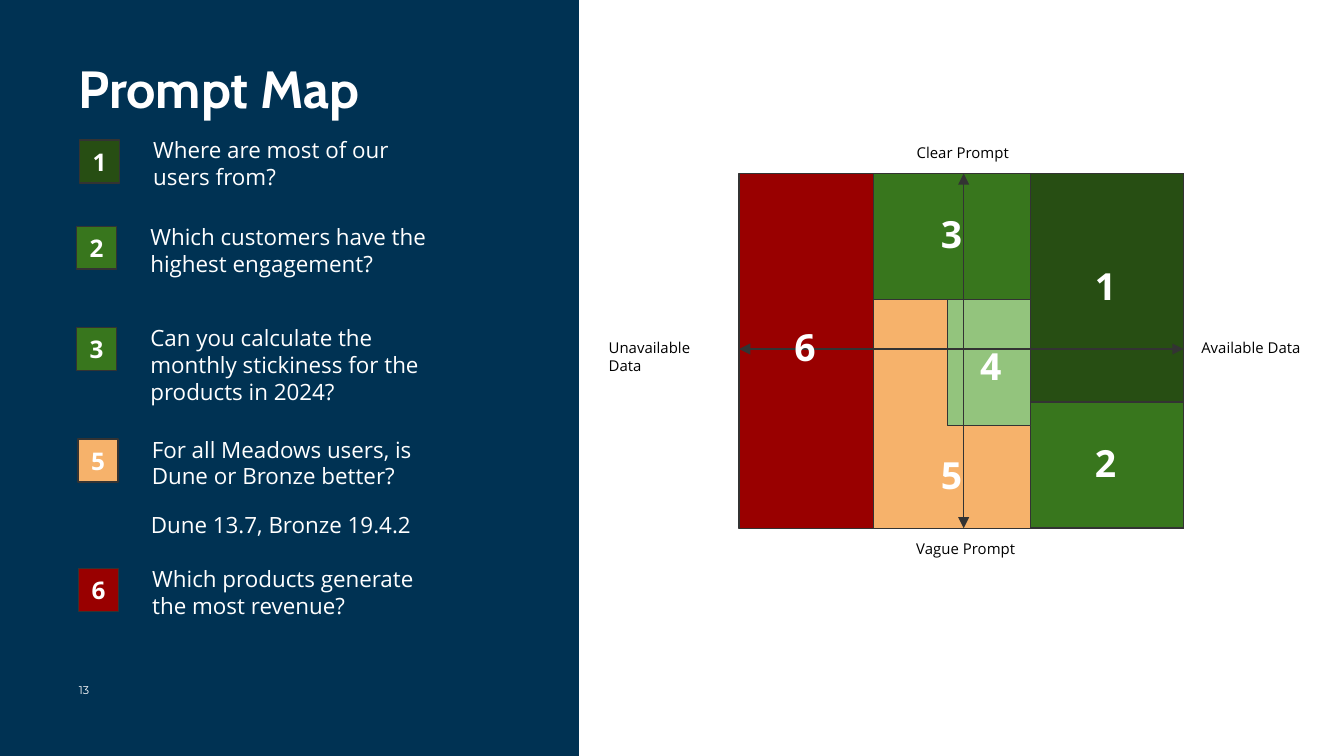
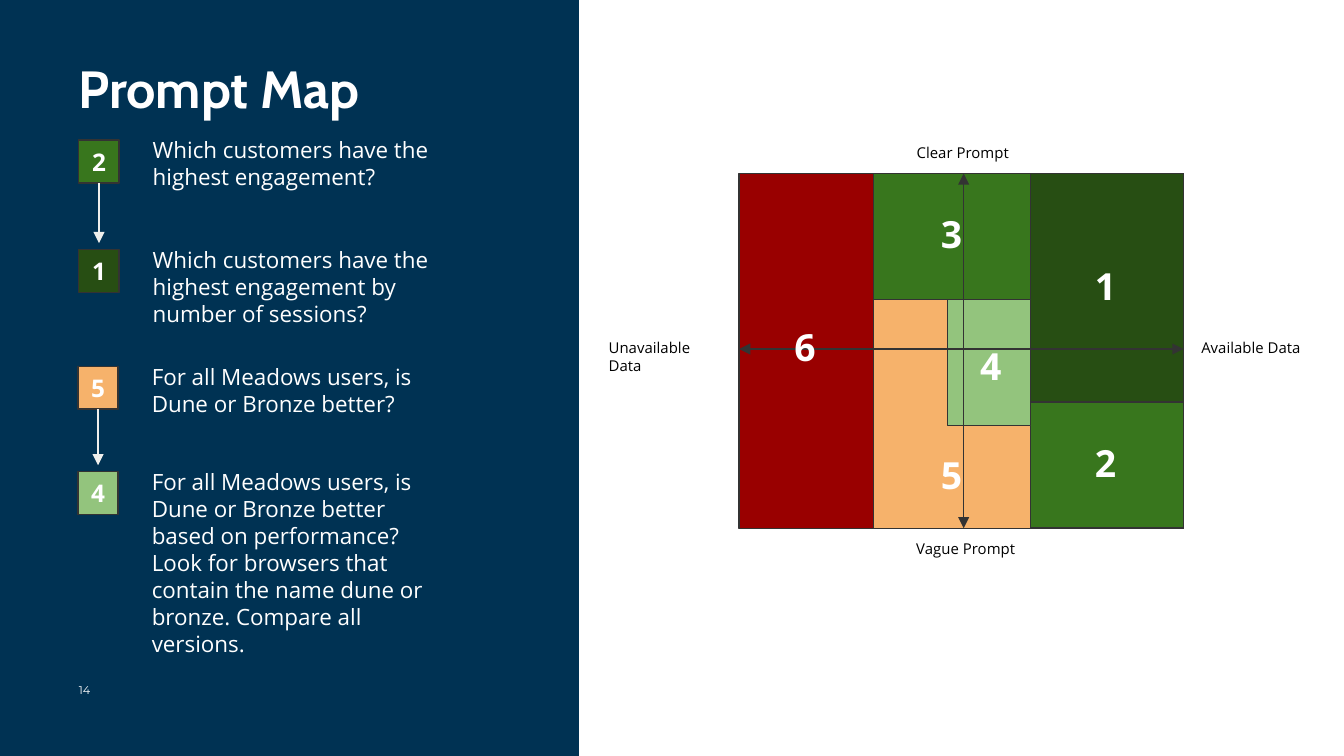
from typing import NamedTuple

from lxml import etree
from pptx import Presentation
from pptx.dml.color import RGBColor
from pptx.enum.shapes import MSO_CONNECTOR, MSO_SHAPE
from pptx.enum.text import MSO_ANCHOR, PP_ALIGN
from pptx.oxml.ns import qn
from pptx.util import Pt

RECTANGLE = MSO_SHAPE.RECTANGLE
STRAIGHT = MSO_CONNECTOR.STRAIGHT
MIDDLE = MSO_ANCHOR.MIDDLE
CENTER = PP_ALIGN.CENTER

# Colours
NAVY = RGBColor(0x00, 0x32, 0x53)
WHITE = RGBColor(0xFF, 0xFF, 0xFF)
BLACK = RGBColor(0x00, 0x00, 0x00)
OUTLINE = RGBColor(0x33, 0x33, 0x33)
PALE = RGBColor(0xEF, 0xEF, 0xEC)
DARK_GREEN = RGBColor(0x27, 0x4E, 0x13)
GREEN = RGBColor(0x38, 0x76, 0x1D)
LIGHT_GREEN = RGBColor(0x93, 0xC4, 0x7D)
ORANGE = RGBColor(0xF6, 0xB2, 0x6B)
RED = RGBColor(0x99, 0x00, 0x00)

ZONE_COLORS = {1: DARK_GREEN, 2: GREEN, 3: GREEN, 4: LIGHT_GREEN, 5: ORANGE, 6: RED}

# Fonts and measures, in points
TITLE_FONT, BODY_FONT, NUMBER_FONT = "Cabin", "Open Sans", "Montserrat"
SLIDE_WIDTH, SLIDE_HEIGHT = 720, 405
PANEL_LEFT = 310.25
MARGIN = 42
INSET = 7.2
BADGE_WIDTH, BADGE_HEIGHT = 21.6, 23
QUESTION_INDENT, QUESTION_WIDTH, QUESTION_RISE = 32.5, 172, 9
ARROW_GAP = 3.5

# Edges of the prompt map
MAP_LEFT, MAP_TOP, MAP_RIGHT, MAP_BOTTOM = 396, 93, 634, 283
RED_EDGE, INNER_EDGE, GREEN_EDGE = 468, 507.75, 552.25
UPPER_EDGE, RIGHT_EDGE, LOWER_EDGE = 160.5, 215.5, 228
CENTER_X, CENTER_Y = 516.25, 187


class Style(NamedTuple):
    size: float
    color: RGBColor = WHITE
    bold: bool = False
    font: str = BODY_FONT


class Zone(NamedTuple):
    number: int
    left: float
    top: float
    right: float
    bottom: float
    label_left: float
    label_top: float


class AxisLabel(NamedTuple):
    text: str
    left: float
    top: float
    width: float


class Question(NamedTuple):
    number: int
    text: str
    left: float
    top: float
    leads_to_next: bool = False


class PromptSlide(NamedTuple):
    page: str
    questions: list[Question]
    answer: str = ""


TITLE_STYLE = Style(28, bold=True, font=TITLE_FONT)
PAGE_STYLE = Style(6, font=NUMBER_FONT)
QUESTION_STYLE = Style(12)
BADGE_STYLE = Style(13, bold=True)
ZONE_STYLE = Style(20, bold=True)
AXIS_STYLE = Style(8, BLACK)

ZONES = [
    Zone(5, RED_EDGE, MAP_TOP, MAP_RIGHT, MAP_BOTTOM, 497, 235),
    Zone(6, MAP_LEFT, MAP_TOP, RED_EDGE, MAP_BOTTOM, 418.5, 166.5),
    Zone(1, GREEN_EDGE, MAP_TOP, MAP_RIGHT, RIGHT_EDGE, 579.5, 134),
    Zone(2, GREEN_EDGE, RIGHT_EDGE, MAP_RIGHT, MAP_BOTTOM, 579.5, 228.5),
    Zone(4, INNER_EDGE, UPPER_EDGE, GREEN_EDGE, LOWER_EDGE, 518, 176.5),
    Zone(3, RED_EDGE, MAP_TOP, GREEN_EDGE, UPPER_EDGE, 497, 106),
]

AXIS_ENDS = [
    (MAP_RIGHT, CENTER_Y),
    (MAP_LEFT, CENTER_Y),
    (CENTER_X, MAP_BOTTOM),
    (CENTER_X, MAP_TOP),
]

AXIS_LABELS = [
    AxisLabel("Vague Prompt", 483.75, 284.5, 84),
    AxisLabel("Clear Prompt", 484, 72, 68),
    AxisLabel("Available Data", 636.5, 176.5, 77),
    AxisLabel("Unavailable Data", 319, 174.25, 77),
]

ENGAGEMENT = "Which customers have the highest engagement"
BROWSERS = "For all Meadows users, is Dune or Bronze better"

SLIDES = [
    PromptSlide("13", [
        Question(1, "Where are most of our users from?", 42.5, 75),
        Question(2, f"{ENGAGEMENT}?", 41, 121.25),
        Question(3, "Can you calculate the monthly stickiness for the "
                    "products in 2024?", 41, 175.5),
        Question(5, f"{BROWSERS}?", 41.75, 235.25),
        Question(6, "Which products generate the most revenue?", 42, 304.5),
    ], "Dune 13.7, Bronze 19.4.2"),
    PromptSlide("14", [
        Question(2, f"{ENGAGEMENT}?", 42.25, 75, leads_to_next=True),
        Question(1, f"{ENGAGEMENT} by number of sessions?", 42.25, 133.75),
        Question(5, f"{BROWSERS}?", 41.75, 196.25, leads_to_next=True),
        Question(4, f"{BROWSERS} based on performance? Look for browsers that "
                    "contain the name dune or bronze. Compare all versions.",
                 41.75, 252.75),
    ]),
]


def write_text(text_frame, text: str, style: Style, inset: float = 0) -> None:
    """Fill a text frame with one styled paragraph."""
    text_frame.word_wrap = True
    text_frame.margin_left = text_frame.margin_right = Pt(inset)
    text_frame.margin_top = text_frame.margin_bottom = Pt(inset)
    text_frame.text = text
    font = text_frame.paragraphs[0].runs[0].font
    font.name = style.font
    font.size = Pt(style.size)
    font.bold = style.bold
    font.color.rgb = style.color


def add_text(slide, text: str, style: Style, left: float, top: float,
             width: float, height: float, inset: float = INSET):
    box = slide.shapes.add_textbox(Pt(left), Pt(top), Pt(width), Pt(height))
    write_text(box.text_frame, text, style, inset)
    return box


def add_box(slide, color: RGBColor, left: float, top: float,
            width: float, height: float, outlined: bool = True):
    shape = slide.shapes.add_shape(RECTANGLE, Pt(left), Pt(top), Pt(width), Pt(height))
    shape.shadow.inherit = False
    shape.fill.solid()
    shape.fill.fore_color.rgb = color
    if outlined:
        shape.line.color.rgb = OUTLINE
        shape.line.width = Pt(0.75)
    else:
        shape.line.fill.background()
    return shape


def add_arrow(slide, color: RGBColor, start: tuple[float, float],
              end: tuple[float, float]) -> None:
    points = [Pt(value) for value in (*start, *end)]
    connector = slide.shapes.add_connector(STRAIGHT, *points)
    connector.line.color.rgb = color
    connector.line.width = Pt(0.75)
    properties = connector._element.spPr
    etree.SubElement(properties.find(qn("a:ln")), qn("a:tailEnd"), type="triangle")
    etree.SubElement(properties, qn("a:effectLst"))


def add_frame(slide, page: str) -> None:
    """Draw the background, white panel, title and page number."""
    slide.background.fill.solid()
    slide.background.fill.fore_color.rgb = NAVY
    add_box(slide, WHITE, PANEL_LEFT, 0, SLIDE_WIDTH - PANEL_LEFT, SLIDE_HEIGHT,
            outlined=False)
    title = add_text(slide, "Prompt Map", TITLE_STYLE, MARGIN, 34, 228, 67, inset=0)
    title.text_frame.paragraphs[0].line_spacing = 0.9
    add_text(slide, page, PAGE_STYLE, MARGIN + 0.25, 366, 21.5, 8.5, inset=0)


def add_map(slide) -> None:
    """Draw the zones, then the axes, then the labels on top."""
    for zone in ZONES:
        add_box(slide, ZONE_COLORS[zone.number], zone.left, zone.top,
                zone.right - zone.left, zone.bottom - zone.top)
    for end in AXIS_ENDS:
        add_arrow(slide, OUTLINE, (CENTER_X, CENTER_Y), end)
    for label in AXIS_LABELS:
        add_text(slide, label.text, AXIS_STYLE, label.left, label.top, label.width, 17)
    for zone in ZONES:
        add_text(slide, str(zone.number), ZONE_STYLE,
                 zone.label_left, zone.label_top, 27.5, 42)


def add_questions(slide, questions: list[Question]) -> None:
    """Draw each question beside its numbered badge, with arrows between pairs."""
    for index, question in enumerate(questions):
        add_text(slide, question.text, QUESTION_STYLE, question.left + QUESTION_INDENT,
                 question.top - QUESTION_RISE, QUESTION_WIDTH, 42)
        badge = add_box(slide, ZONE_COLORS[question.number], question.left,
                        question.top, BADGE_WIDTH, BADGE_HEIGHT)
        write_text(badge.text_frame, str(question.number), BADGE_STYLE)
        badge.text_frame.vertical_anchor = MIDDLE
        badge.text_frame.paragraphs[0].alignment = CENTER
        if question.leads_to_next:
            middle = question.left + BADGE_WIDTH / 2
            add_arrow(slide, PALE, (middle, question.top + BADGE_HEIGHT),
                      (middle, questions[index + 1].top - ARROW_GAP))


def main() -> None:
    presentation = Presentation()
    presentation.slide_width = Pt(SLIDE_WIDTH)
    presentation.slide_height = Pt(SLIDE_HEIGHT)
    blank_layout = presentation.slide_layouts[6]
    for content in SLIDES:
        slide = presentation.slides.add_slide(blank_layout)
        add_frame(slide, content.page)
        add_map(slide)
        add_questions(slide, content.questions)
        if content.answer:
            add_text(slide, content.answer, QUESTION_STYLE, 73.75, 266.5, 236, 29)
    presentation.save("out.pptx")


if __name__ == "__main__":
    main()
